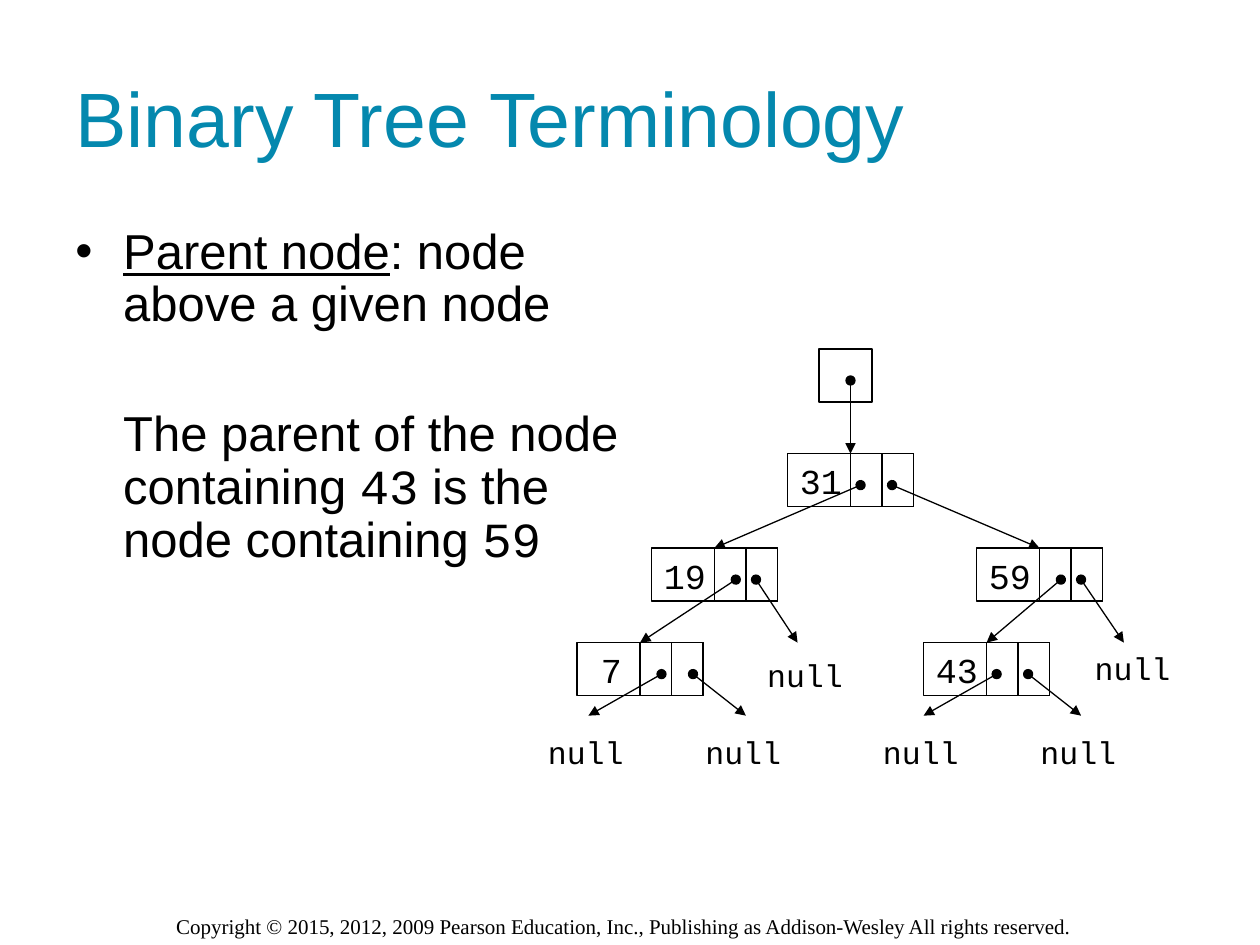
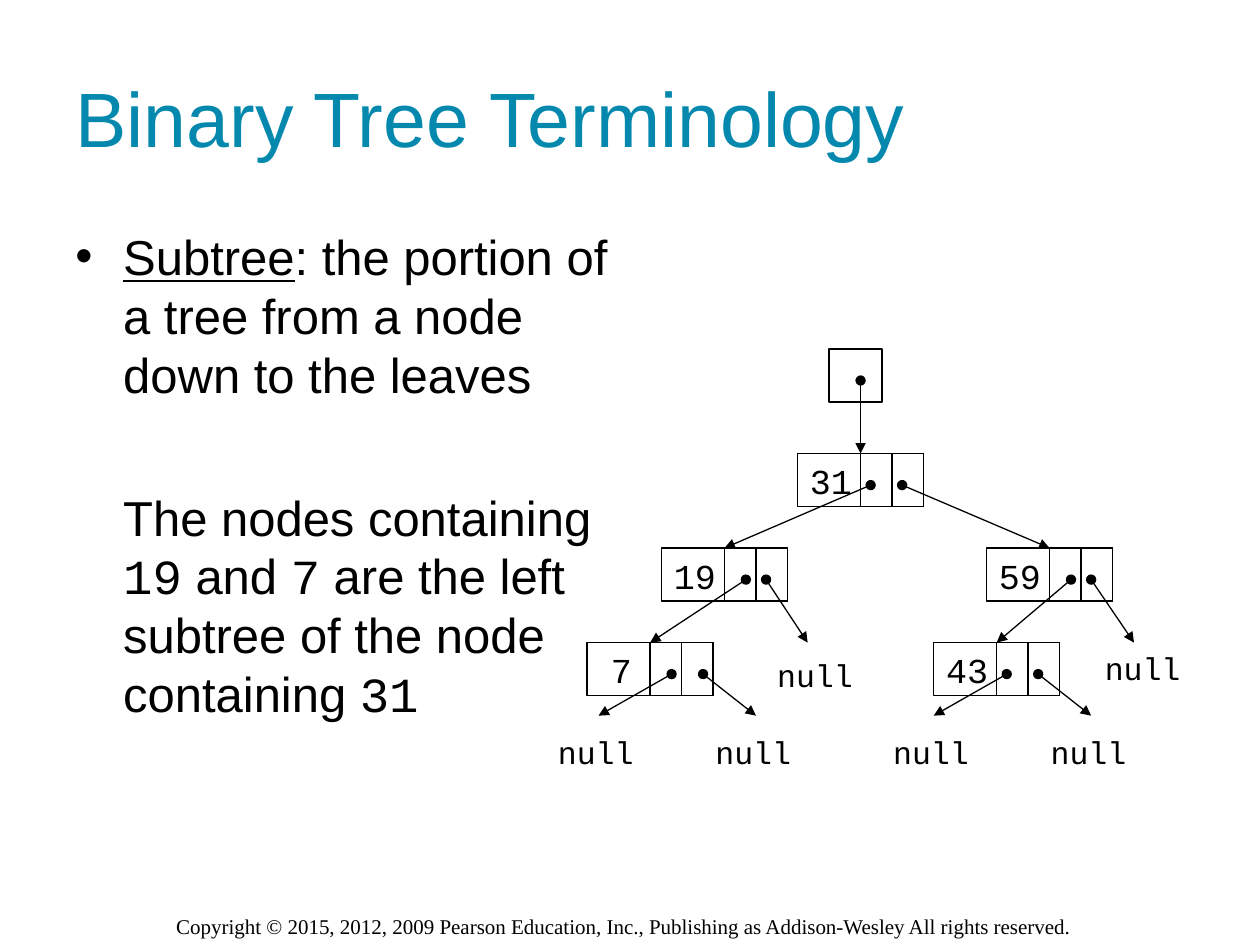
from dataclasses import dataclass

from lxml import etree
from pptx import Presentation
from pptx import util as u
from pptx.dml.color import RGBColor
from pptx.enum import shapes, text
from pptx.oxml import ns

COLORS = {"title": "0488AE", "ink": "000000", "paper": "FFFFFF"}
SANS, MONO, SERIF = "Arial", "Courier New", "Times New Roman"
TITLE = "Binary Tree Terminology"
COPYRIGHT = ("Copyright © 2015, 2012, 2009 Pearson Education, Inc., "
             "Publishing as Addison-Wesley All rights reserved.")
NODE_W, NODE_H, LINK_W = 1, 0.42, 0.25


@dataclass(frozen=True)
class Run:
    text: str
    font: str = SANS
    underline: bool = False


@dataclass(frozen=True)
class Null:
    tip_x: float
    tip_y: float
    label_x: float
    label_y: float


@dataclass(frozen=True)
class Node:
    value: str
    x: float
    y: float
    dots: tuple[float, float]
    targets: tuple[str | Null, str | Null]
    value_dx: float = 0


@dataclass(frozen=True)
class Topic:
    definition: tuple[Run, ...]
    example: tuple[Run, ...]
    line_spacing: float
    example_gap: int
    tree_shift: float


def leaf_null(tip_x: float) -> Null:
    return Null(tip_x, 5.68, tip_x - 0.42, 5.77)


NODES = (
    Node("31", 6.25, 3.6, (0.58, 0.83), ("19", "59")),
    Node("59", 7.75, 4.35, (0.67, 0.83), ("43", Null(8.92, 5.1, 8.59, 5.1))),
    Node("19", 5.17, 4.35, (0.67, 0.83), ("7", Null(6.33, 5.1, 5.99, 5.16))),
    Node("7", 4.58, 5.1, (0.67, 0.92), (leaf_null(4.67), leaf_null(5.92)), 0.09),
    Node("43", 7.33, 5.1, (0.58, 0.83), (leaf_null(7.33), leaf_null(8.58))),
)

TOPICS = (
    Topic(
        (Run("Parent node", underline=True), Run(": node above a given node")),
        (Run("The parent of the node containing "), Run("43", MONO),
         Run(" is the node containing "), Run("59", MONO)),
        0.9, 44, 0),
    Topic(
        (Run("Subtree", underline=True),
         Run(": the portion of a tree from a node down to the leaves")),
        (Run("The nodes containing "), Run("19", MONO), Run(" and "), Run("7", MONO),
         Run(" are the left subtree of the node containing "), Run("31", MONO)),
        1.0, 48, 0.08),
)


def rgb(name: str) -> RGBColor:
    return RGBColor.from_string(COLORS[name])


def add_run(p, run: Run, size: int, color: str = "ink") -> None:
    r = p.add_run()
    r.text = run.text
    r.font.name = run.font
    r.font.size = u.Pt(size)
    r.font.color.rgb = rgb(color)
    if run.underline:
        r.font.underline = True


def add_label(parent, run: Run, size: int, x: float, y: float, w: float, h: float,
              wrap: bool = False) -> None:
    sp = parent.add_textbox(u.Inches(x), u.Inches(y), u.Inches(w), u.Inches(h))
    sp.text_frame.word_wrap = wrap
    add_run(sp.text_frame.paragraphs[0], run, size)


def add_cell(tree, x: float, y: float, w: float):
    sp = tree.add_shape(shapes.MSO_SHAPE.RECTANGLE, u.Inches(x), u.Inches(y),
                        u.Inches(w), u.Inches(NODE_H))
    sp.shadow.inherit = False
    sp.fill.background()
    sp.line.color.rgb = rgb("ink")
    sp.line.width = u.Pt(0.75)
    return sp


def add_pointer(tree, x1: float, y1: float, x2: float, y2: float, target=None) -> None:
    cxn = tree.add_connector(shapes.MSO_CONNECTOR.STRAIGHT, u.Inches(x1), u.Inches(y1),
                             u.Inches(x2), u.Inches(y2))
    cxn.line.color.rgb = rgb("ink")
    cxn.line.width = u.Pt(0.75)
    ln = cxn.line._get_or_add_ln()
    etree.SubElement(ln, ns.qn("a:headEnd"), type="oval")
    etree.SubElement(ln, ns.qn("a:tailEnd"), type="triangle")
    etree.SubElement(cxn._element.spPr, ns.qn("a:effectLst"))
    if target is not None:
        cxn.end_connect(target, 0)


def add_tree(s, shift: float) -> None:
    group = s.shapes.add_group_shape()
    tree = group.shapes
    add_cell(tree, 6.5, 2.77, NODE_H)
    boxes = {}
    for node in NODES:
        boxes[node.value] = add_cell(tree, node.x, node.y, NODE_W)
        for i in (1, 2):
            add_cell(tree, node.x + NODE_W - i * LINK_W, node.y, LINK_W)

    by_value = {node.value: node for node in NODES}
    root = NODES[0]
    root_x = root.x + NODE_W / 2
    add_pointer(tree, root_x, 3.02, root_x, root.y, boxes[root.value])
    for node in NODES:
        for dot, target in zip(node.dots, node.targets):
            start = node.x + dot, node.y + 0.25
            if isinstance(target, Null):
                add_pointer(tree, *start, target.tip_x, target.tip_y)
                add_label(tree, Run("null", MONO), 18,
                          target.label_x, target.label_y, 0.8, 0.4)
            else:
                child = by_value[target]
                add_pointer(tree, *start, child.x + NODE_W / 2, child.y, boxes[target])
        width = 0.2 + len(node.value) / 6
        add_label(tree, Run(node.value, MONO), 20,
                  node.x + node.value_dx, node.y, width, 0.44)
    group.left += u.Inches(shift)


def add_title(s) -> None:
    sp = s.shapes.title
    sp.left, sp.top = u.Inches(0.5), u.Inches(0.3)
    sp.width, sp.height = u.Inches(9), u.Inches(1.25)
    tf = sp.text_frame
    tf.vertical_anchor = text.MSO_ANCHOR.MIDDLE
    p = tf.paragraphs[0]
    p.alignment = text.PP_ALIGN.LEFT
    add_run(p, Run(TITLE), 44, "title")


def indent(p, first: float) -> None:
    pPr = p._p.get_or_add_pPr()
    pPr.set("marL", str(u.Inches(0.38)))
    pPr.set("indent", str(u.Inches(first)))


def add_bullet(p) -> None:
    pPr = p._p.get_or_add_pPr()
    color = etree.SubElement(pPr, ns.qn("a:buClr"))
    etree.SubElement(color, ns.qn("a:srgbClr"), val=COLORS["ink"])
    etree.SubElement(pPr, ns.qn("a:buFont"), typeface=SANS)
    etree.SubElement(pPr, ns.qn("a:buChar"), char="•")


def add_body(s, topic: Topic) -> None:
    sp = s.shapes.add_textbox(u.Inches(0.5), u.Inches(1.75), u.Inches(4.54), u.Inches(4.5))
    tf = sp.text_frame
    tf.word_wrap = True
    definition, example = tf.paragraphs[0], tf.add_paragraph()
    indent(definition, -0.38)
    add_bullet(definition)
    indent(example, 0)
    example.space_before = u.Pt(topic.example_gap)
    for p, runs in ((definition, topic.definition), (example, topic.example)):
        p.line_spacing = topic.line_spacing
        for run in runs:
            add_run(p, run, 28)


def add_topic(prs, topic: Topic) -> None:
    s = prs.slides.add_slide(prs.slide_layouts[5])
    s.background.fill.solid()
    s.background.fill.fore_color.rgb = rgb("paper")
    add_label(s.shapes, Run(COPYRIGHT, SERIF), 12, 1.3, 7.2, 7.42, 0.3, wrap=True)
    add_title(s)
    add_body(s, topic)
    add_tree(s, topic.tree_shift)


def main() -> None:
    prs = Presentation()
    prs.slide_width, prs.slide_height = u.Inches(10), u.Inches(7.5)
    for topic in TOPICS:
        add_topic(prs, topic)
    prs.save("out.pptx")


if __name__ == "__main__":
    main()
